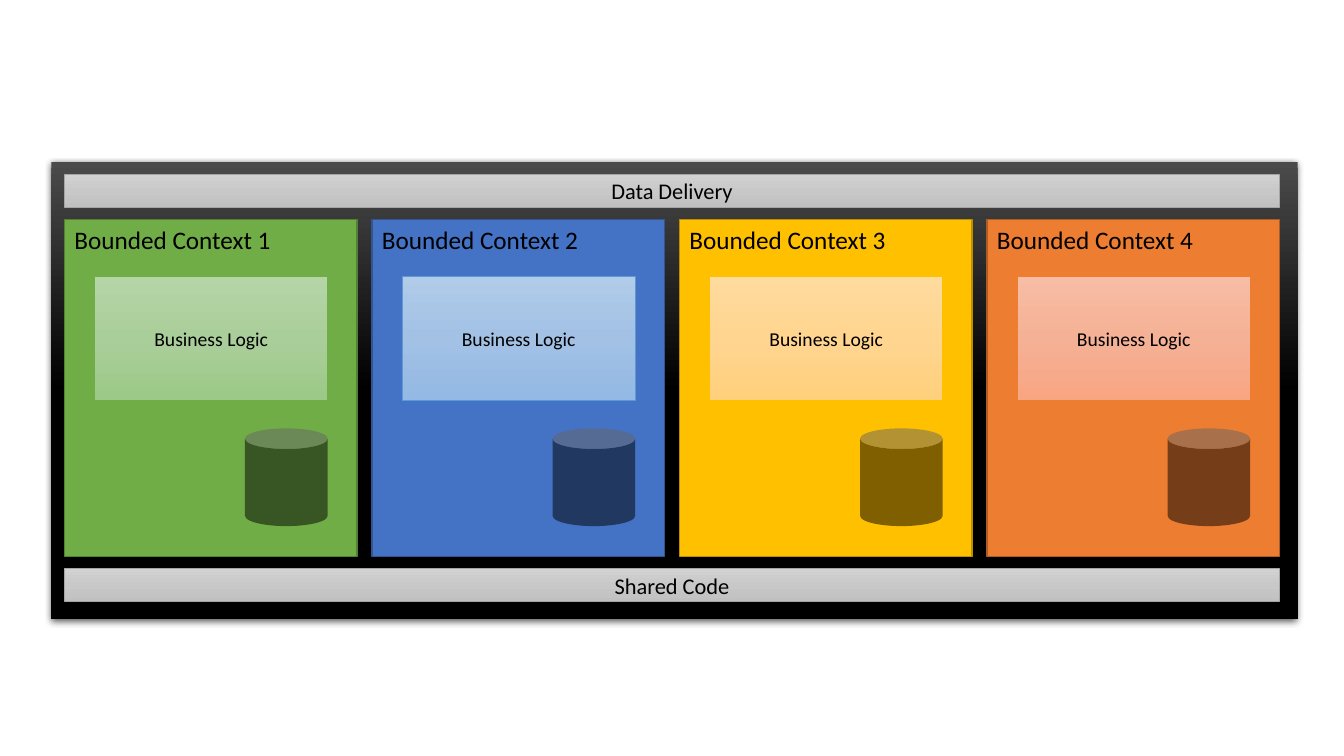
from dataclasses import dataclass
from typing import NamedTuple

from lxml import etree
from pptx import Presentation
from pptx.dml.color import RGBColor
from pptx.enum.shapes import MSO_SHAPE
from pptx.enum.text import MSO_ANCHOR, PP_ALIGN
from pptx.oxml.ns import qn
from pptx.util import Inches, Pt

RECT, CAN = MSO_SHAPE.RECTANGLE, MSO_SHAPE.CAN
TOP, MIDDLE = MSO_ANCHOR.TOP, MSO_ANCHOR.MIDDLE
LEFT, CENTER = PP_ALIGN.LEFT, PP_ALIGN.CENTER


@dataclass(frozen=True)
class Theme:
    font: str = "Calibri"
    ink: str = "000000"
    head: int = 18
    bar: int = 16
    card: int = 14
    edge: float = 1
    thin: float = 0.5
    frame: tuple = ("4B4B4B", "000000", "000000")
    grey: tuple = ("D2D2D2", "C8C8C8", "C0C0C0")
    rim: str = "A5A5A5"


class Box(NamedTuple):
    left: float
    top: float
    width: float
    height: float

    def inner(self, left: float, top: float, width: float, height: float) -> "Box":
        return Box(self.left + left, self.top + top, width, height)


class Context(NamedTuple):
    fill: str
    edge: str
    card: tuple
    rim: str


THEME = Theme()
CONTEXTS = [
    Context("70AD47", "538035", ("B5D5A7", "AACE9A", "9CC987"), "70AD47"),
    Context("4472C4", "325491", ("B1CBE9", "A3C1E5", "93B9E4"), "5B9BD5"),
    Context("FFC000", "BD8E00", ("FFDB9E", "FFD590", "FFD07C"), "FFC000"),
    Context("ED7D31", "AF5C24", ("F7BDA5", "F5B196", "F8A582"), "ED7D31"),
]

# Grid: four equal columns between two full-width bars
FRAME = Box(0.51, 1.61, 12.36, 4.53)
GRID = Box(0.64, 2.18, 12.05, 3.34)
COLUMN = 2.9
STEP = (GRID.width - COLUMN) / (len(CONTEXTS) - 1)
BAR = 0.33
GAP = 0.12


def add_node(parent, tag: str, **attrs):
    return etree.SubElement(parent, qn(tag), attrs)


def fade(shape, colors: tuple) -> None:
    """Fill from top to bottom with evenly spaced colours."""
    shape.fill.solid()
    props = shape.element.spPr
    solid = props.find(qn("a:solidFill"))
    grad = etree.Element(qn("a:gradFill"), rotWithShape="1")
    stops = add_node(grad, "a:gsLst")
    for i, color in enumerate(colors):
        stop = add_node(stops, "a:gs", pos=str(100000 * i // (len(colors) - 1)))
        add_node(stop, "a:srgbClr", val=color)
    add_node(grad, "a:lin", ang="5400000", scaled="0")
    props.replace(solid, grad)


def set_alpha(parent, percent: int) -> None:
    add_node(parent, "a:alpha", val=str(percent * 1000))


def add_shadow(shape) -> None:
    effects = shape.element.spPr.find(qn("a:effectLst"))
    outer = add_node(effects, "a:outerShdw", blurRad=str(Pt(4.5)), dist=str(Pt(1.5)),
                     dir="5400000", algn="ctr", rotWithShape="0")
    set_alpha(add_node(outer, "a:srgbClr", val=THEME.ink), 63)


def add_form(kind, box: Box, fill: str | tuple, line: str = "", width: float = 0):
    shape = slide.shapes.add_shape(kind, *map(Inches, box))
    shape.shadow.inherit = False
    if isinstance(fill, tuple):
        fade(shape, fill)
    else:
        shape.fill.solid()
        shape.fill.fore_color.rgb = RGBColor.from_string(fill)
    if line:
        shape.line.color.rgb = RGBColor.from_string(line)
        shape.line.width = Pt(width)
    else:
        shape.line.fill.background()
    return shape


def write(shape, text: str, size: int, align=CENTER, anchor=MIDDLE) -> None:
    frame = shape.text_frame
    frame.word_wrap = True
    frame.vertical_anchor = anchor
    para = frame.paragraphs[0]
    para.text = text
    para.alignment = align
    para.font.name = THEME.font
    para.font.size = Pt(size)
    para.font.color.rgb = RGBColor.from_string(THEME.ink)


def add_bar(text: str, top: float) -> None:
    box = Box(GRID.left, top, GRID.width, BAR)
    write(add_form(RECT, box, THEME.grey, THEME.rim, THEME.thin), text, THEME.bar)


def add_context(index: int, ctx: Context) -> None:
    box = Box(GRID.left + index * STEP, GRID.top, COLUMN, GRID.height)
    panel = add_form(RECT, box, ctx.fill, ctx.edge, THEME.edge)
    write(panel, f"Bounded Context {index + 1}", THEME.head, LEFT, TOP)
    card = add_form(RECT, box.inner(0.3, 0.56, 2.31, 1.23), ctx.card, ctx.rim, THEME.thin)
    write(card, "Business Logic", THEME.card)
    store = add_form(CAN, box.inner(1.79, 2.07, 0.82, 0.97), THEME.ink)
    set_alpha(store.element.spPr.find(qn("a:solidFill"))[0], 50)


# Slide
deck = Presentation()
deck.slide_width, deck.slide_height = Inches(13.33), Inches(7.5)
slide = deck.slides.add_slide(deck.slide_layouts[6])

# Application frame
add_shadow(add_form(RECT, FRAME, THEME.frame))

# Bounded contexts
for index, ctx in enumerate(CONTEXTS):
    add_context(index, ctx)

# Shared bars
add_bar("Data Delivery", GRID.top - GAP - BAR)
add_bar("Shared Code", GRID.top + GRID.height + GAP)

deck.save("out.pptx")
